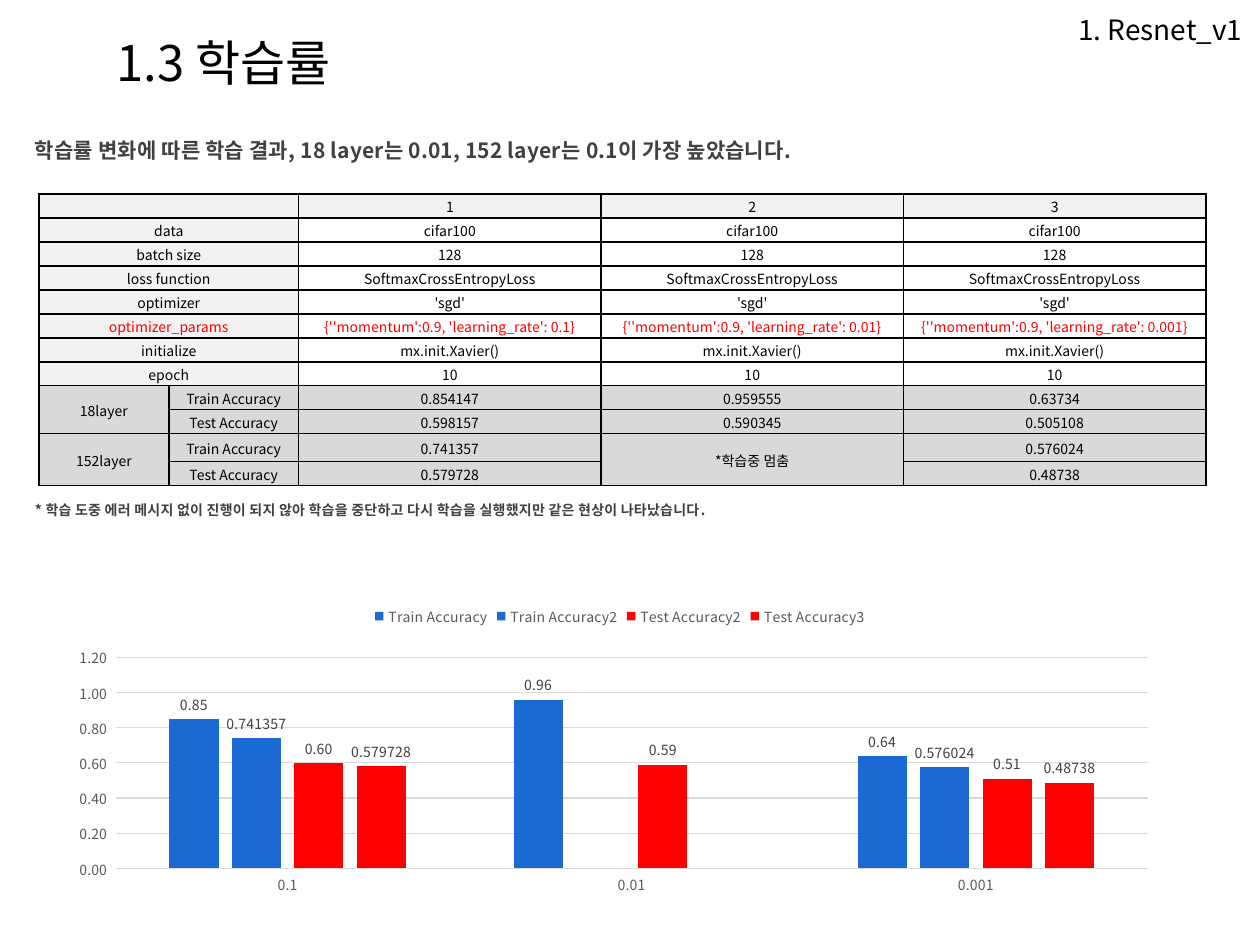
"""Build the learning-rate slide: a settings table and an accuracy chart."""
from lxml.etree import SubElement
from pptx import Presentation
from pptx.chart.data import CategoryChartData
from pptx.dml.color import RGBColor
from pptx.enum.chart import XL_CHART_TYPE, XL_LABEL_POSITION, XL_LEGEND_POSITION, XL_TICK_MARK
from pptx.enum.text import MSO_ANCHOR, MSO_AUTO_SIZE, PP_ALIGN
from pptx.oxml import parse_xml
from pptx.oxml.ns import nsdecls, qn
from pptx.util import Pt

FACE = "Noto Sans CJK KR"
BLACK = RGBColor(0, 0, 0)
WHITE = RGBColor(255, 255, 255)
RED = RGBColor(255, 0, 0)
BLUE = RGBColor(0x1B, 0x6A, 0xD3)
DARK = RGBColor(0x40, 0x40, 0x40)
GRAY = RGBColor(0x59, 0x59, 0x59)
PALE = RGBColor(0xF2, 0xF2, 0xF2)
SILVER = RGBColor(0xD9, 0xD9, 0xD9)

HEADS = [
    ("1. Resnet_v1", (484.5, 5.2, 232.5, 23), 16, PP_ALIGN.RIGHT),
    ("1.3 학습률", (59.6, 15.1, 538.5, 41), 28, PP_ALIGN.LEFT),
]
NOTES = [
    ("학습률 변화에 따른 학습 결과, 18 layer는 0.01, 152 layer는 0.1이 가장 높았습니다.",
     (19.9, 71.3, 680.4, 21.6), 12),
    ("* 학습 도중 에러 메시지 없이 진행이 되지 않아 학습을 중단하고 다시 학습을 실행했지만 "
     "같은 현상이 나타났습니다.", (19.9, 281.9, 680.4, 13), 8),
]

RATES = ["0.1", "0.01", "0.001"]
SETUP = [
    ("", ["1", "2", "3"]),
    ("data", ["cifar100"] * 3),
    ("batch size", ["128"] * 3),
    ("loss function", ["SoftmaxCrossEntropyLoss"] * 3),
    ("optimizer", ["'sgd'"] * 3),
    ("optimizer_params", ["{''momentum':0.9, 'learning_rate': " + rate + "}" for rate in RATES]),
    ("initialize", ["mx.init.Xavier()"] * 3),
    ("epoch", ["10"] * 3),
]
SCORES = [
    ("18layer", "Train Accuracy", [0.854147, 0.959555, 0.63734]),
    ("", "Test Accuracy", [0.598157, 0.590345, 0.505108]),
    ("152layer", "Train Accuracy", [0.741357, None, 0.576024]),
    ("", "Test Accuracy", [0.579728, None, 0.48738]),
]
HALT = "*학습중 멈춤"
SERIES = [
    ("Train Accuracy", 0, BLUE, "0.00", 2),
    ("Train Accuracy2", 2, BLUE, "General", 6),
    ("Test Accuracy2", 1, RED, "0.00", 2),
    ("Test Accuracy3", 3, RED, "General", 6),
]
COLS = [74.2, 74.2, 172.8, 172.8, 172.8]
ROWS = [13.7] * 10 + [16, 13.7]
PLOT = {"x": 0.069, "y": 0.203, "w": 0.882, "h": 0.649}


def style(font, size, color, bold=False):
    font.name, font.size, font.bold = FACE, Pt(size), bold
    font.color.rgb = color


def write(para, text, size, color, bold=False):
    run = para.add_run()
    run.text = text
    style(run.font, size, color, bold)
    SubElement(run.font._element, qn("a:ea"), typeface=FACE)
    return run


def add_text(slide, text, box, size, color, bold=False):
    frame = slide.shapes.add_textbox(*map(Pt, box)).text_frame
    frame.word_wrap = True
    para = frame.paragraphs[0]
    write(para, text, size, color, bold)
    return frame, para


def add_heads(slide):
    for text, box, size, align in HEADS:
        frame, para = add_text(slide, text, box, size, BLACK)
        frame.vertical_anchor = MSO_ANCHOR.MIDDLE
        para.alignment, para.space_before = align, Pt(size * 0.2)


def add_notes(slide):
    for text, box, size in NOTES:
        frame, para = add_text(slide, text, box, size, DARK, True)
        frame.margin_left = frame.margin_right = frame.margin_top = frame.margin_bottom = 0
        frame.auto_size = MSO_AUTO_SIZE.SHAPE_TO_FIT_TEXT
        para.line_spacing = 1.5
        para.runs[0].font._element.set("spc", "10")


def fill_cell(cell, text, fill, color):
    cell.margin_left = cell.margin_right = cell.margin_top = Pt(0.7)
    cell.margin_bottom = 0
    cell.vertical_anchor = MSO_ANCHOR.MIDDLE
    para = cell.text_frame.paragraphs[0]
    para.alignment = PP_ALIGN.CENTER
    if text:
        write(para, text, 8, color)
    else:
        SubElement(para._p, qn("a:endParaRPr"), sz="800")
    props = cell._tc.get_or_add_tcPr()
    for side in "LRTB":
        props.append(parse_xml(
            f'<a:ln{side} {nsdecls("a")} w="12700"><a:solidFill>'
            f'<a:srgbClr val="{BLACK}"/></a:solidFill></a:ln{side}>'))
    cell.fill.solid()
    cell.fill.fore_color.rgb = fill


def add_grid(slide):
    lines = [[name, ""] + vals for name, vals in SETUP]
    for group, name, vals in SCORES:
        lines.append([group, name] + ["" if val is None else str(val) for val in vals])
    top = len(SETUP)
    lines[top + 2][3] = HALT
    grid = slide.shapes.add_table(len(ROWS), len(COLS), Pt(22.3), Pt(110.9),
                                  Pt(sum(COLS)), Pt(sum(ROWS))).table
    grid.first_row = grid.horz_banding = False
    for col, width in zip(grid.columns, COLS):
        col.width = Pt(width)
    for r, line in enumerate(lines):
        grid.rows[r].height = Pt(ROWS[r])
        color = RED if line[0] == "optimizer_params" else BLACK
        for c, text in enumerate(line):
            fill = SILVER if r >= top else PALE if r == 0 or c < 2 else WHITE
            fill_cell(grid.cell(r, c), text, fill, color)
    for r in range(top):
        grid.cell(r, 0).merge(grid.cell(r, 1))
    for r, c in [(top, 0), (top + 2, 0), (top + 2, 3)]:
        grid.cell(r, c).merge(grid.cell(r + 1, c))


def style_line(line):
    line.color.rgb, line.width = SILVER, Pt(0.75)


def add_bars(slide):
    data = CategoryChartData()
    data.categories = RATES
    for name, row, _, _, places in SERIES:
        vals = SCORES[row][2]
        data.add_series(name, [None if val is None else round(val, places) for val in vals])
    chart = slide.shapes.add_chart(XL_CHART_TYPE.COLUMN_CLUSTERED, Pt(19.9), Pt(338),
                                   Pt(668.9), Pt(185.8), data).chart
    style(chart.font, 8, BLACK)
    chart.has_title = False
    chart.has_legend = True
    chart.legend.position = XL_LEGEND_POSITION.TOP
    chart.legend.include_in_layout = False
    style(chart.legend.font, 8, GRAY)
    for axis in (chart.category_axis, chart.value_axis):
        axis.major_tick_mark = axis.minor_tick_mark = XL_TICK_MARK.NONE
        style(axis.tick_labels.font, 8, GRAY)
    style_line(chart.category_axis.format.line)
    axis = chart.value_axis
    axis.minimum_scale, axis.maximum_scale, axis.major_unit = 0, 1.2, 0.2
    axis.format.line.fill.background()
    style_line(axis.major_gridlines.format.line)
    axis.tick_labels.number_format = "0.00_ "
    axis.tick_labels.number_format_is_linked = False
    plot = chart.plots[0]
    plot.gap_width, plot.overlap, plot.vary_by_categories = 219, -27, False
    for bars, (_, _, color, form, _) in zip(plot.series, SERIES):
        bars.format.fill.solid()
        bars.format.fill.fore_color.rgb = color
        tags = bars.data_labels
        tags.show_value, tags.position = True, XL_LABEL_POSITION.OUTSIDE_END
        tags.number_format, tags.number_format_is_linked = form, False
        style(tags.font, 8, DARK)
    area = chart._chartSpace.chart.plotArea
    for old in area.findall(qn("c:layout")):
        area.remove(old)
    modes = '<c:layoutTarget val="inner"/><c:xMode val="edge"/><c:yMode val="edge"/>'
    sizes = "".join(f'<c:{key} val="{val}"/>' for key, val in PLOT.items())
    area.insert(0, parse_xml(f'<c:layout {nsdecls("c")}><c:manualLayout>{modes}{sizes}'
                             '</c:manualLayout></c:layout>'))


def main():
    deck = Presentation()
    deck.slide_width, deck.slide_height = Pt(720), Pt(540)
    slide = deck.slides.add_slide(deck.slide_layouts[6])
    add_heads(slide)
    add_grid(slide)
    add_bars(slide)
    add_notes(slide)
    deck.save("out.pptx")


if __name__ == "__main__":
    main()
